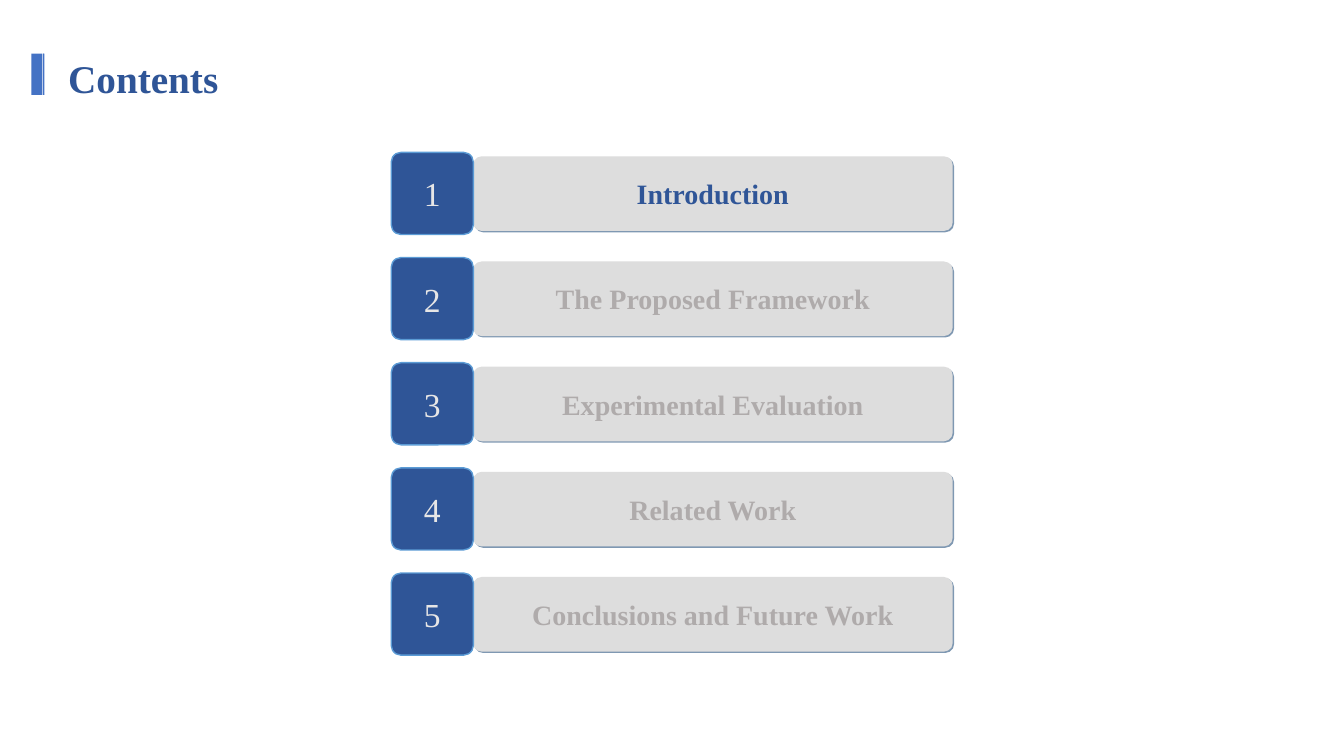
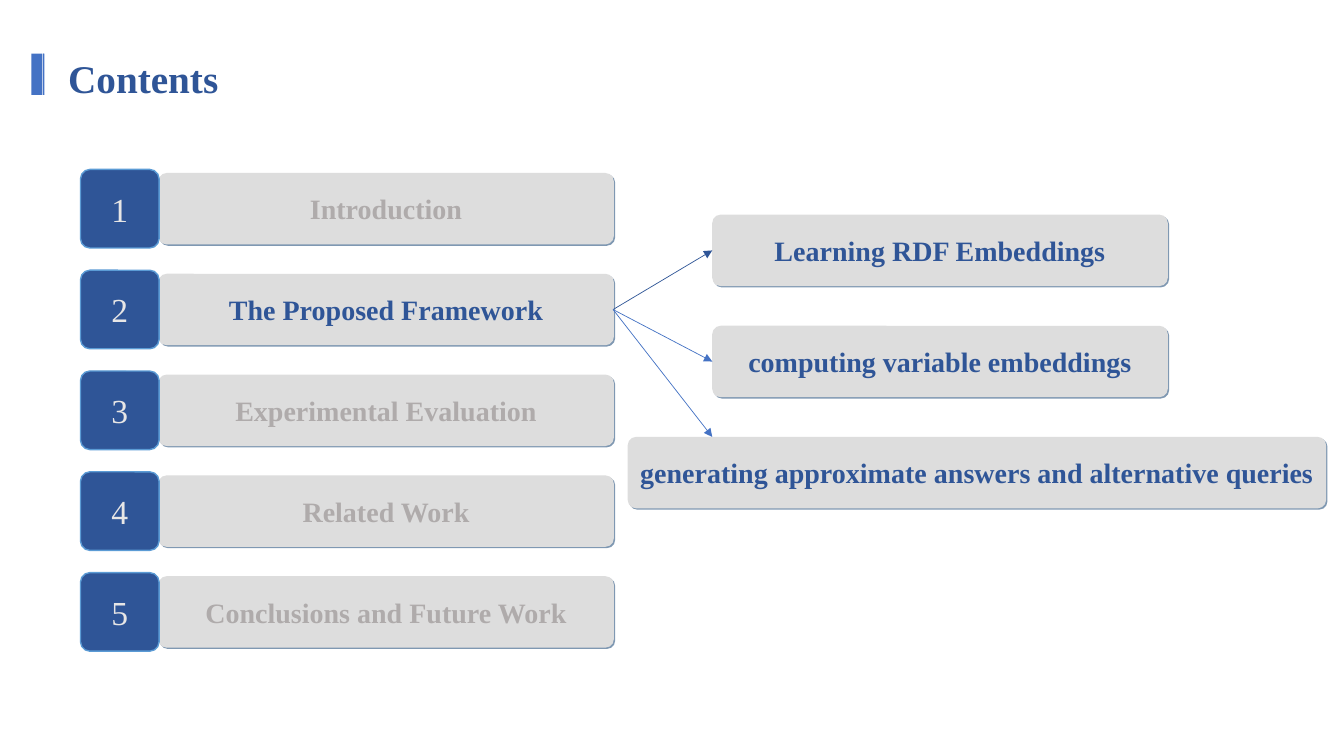
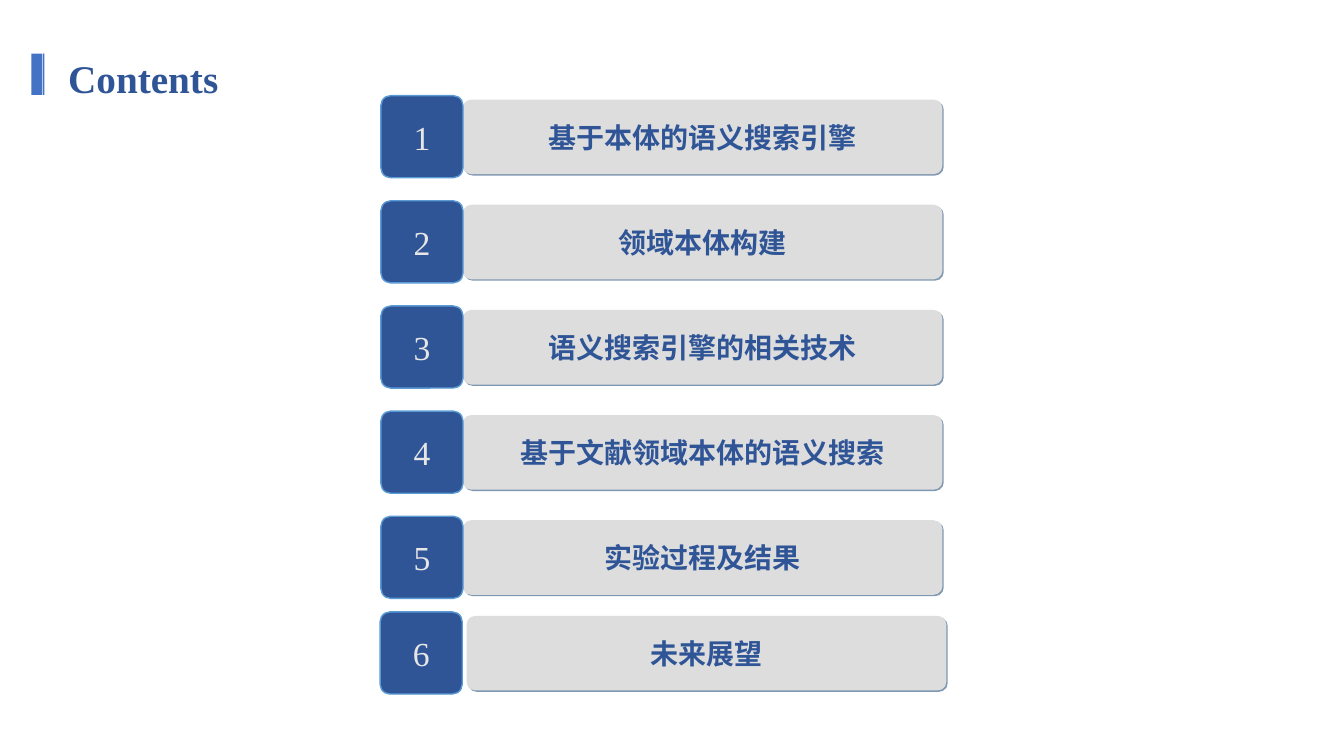
from lxml.etree import SubElement
from pptx import Presentation
from pptx.dml.color import RGBColor
from pptx.enum.shapes import MSO_CONNECTOR, MSO_SHAPE
from pptx.enum.text import MSO_ANCHOR, PP_ALIGN
from pptx.oxml.ns import qn
from pptx.util import Cm, Pt

FONT = "Times New Roman"
COLORS = {
    "navy": "2F5597",
    "blue": "4472C4",
    "edge": "5B9BD5",
    "panel": "DDDDDD",
    "muted": "AFABAB",
    "pale": "E7E6E6",
    "shade": "003366",
}
TOPICS = [
    "Introduction",
    "The Proposed Framework",
    "Experimental Evaluation",
    "Related Work",
    "Conclusions and Future Work",
]
THEMES = [
    "基于本体的语义搜索引擎",
    "领域本体构建",
    "语义搜索引擎的相关技术",
    "基于文献领域本体的语义搜索",
    "实验过程及结果",
]
STEPS = [
    "Learning RDF Embeddings",
    "computing variable embeddings",
    "generating approximate answers and alternative queries",
]
# Badge side, bar width, bar height, bar offset right and down, row pitch
LARGE = (2.07, 12.09, 1.88, 2.06, 0.1, 2.65)
SMALL = (1.98, 11.48, 1.8, 1.96, 0.09, 2.54)


def color(name):
    return RGBColor.from_string(COLORS[name])


def write(frame, text, size, ink, bold):
    run = frame.paragraphs[0].add_run()
    run.text = text
    font = run.font
    font.name, font.size, font.bold = FONT, Pt(size), bold
    font.color.rgb = color(ink)


def block(slide, left, top, width, height, fill, corner):
    """Add a rounded rectangle without outline or shadow."""
    shape = slide.shapes.add_shape(
        MSO_SHAPE.ROUNDED_RECTANGLE, Cm(left), Cm(top), Cm(width), Cm(height))
    shape.adjustments[0] = corner
    shape.shadow.inherit = False
    shape.fill.solid()
    shape.fill.fore_color.rgb = color(fill)
    shape.line.fill.background()
    return shape


def label(shape, text, size, ink, bold):
    """Centre one line of text in a shape."""
    frame = shape.text_frame
    frame.word_wrap = False
    frame.vertical_anchor = MSO_ANCHOR.MIDDLE
    frame.paragraphs[0].alignment = PP_ALIGN.CENTER
    write(frame, text, size, ink, bold)


def drop(shape):
    """Give a shape a hard shadow to the lower right."""
    effects = shape._element.spPr.find(qn("a:effectLst"))
    outer = SubElement(effects, qn("a:outerShdw"), blurRad="0",
                       dist=str(Pt(1.4)), dir="2700000", algn="ctr",
                       rotWithShape="0")
    tint = SubElement(outer, qn("a:srgbClr"), val=COLORS["shade"])
    SubElement(tint, qn("a:alpha"), val="50000")


def bar(slide, left, top, width, height, text, ink="navy"):
    shape = block(slide, left, top, width, height, "panel", 0.117)
    drop(shape)
    label(shape, text, 20, ink, True)


def badge(slide, left, top, side, number):
    shape = block(slide, left, top, side, side, "navy", 0.119)
    shape.line.color.rgb = color("edge")
    shape.line.width = Pt(1)
    label(shape, str(number), 24, "pale", False)


def row(slide, left, top, dims, number, text, ink, shift=0):
    side, width, height, right, down, _ = dims
    bar(slide, left + right + shift, top + down, width, height, text, ink)
    badge(slide, left, top, side, number)


def agenda(slide, left, top, dims, items, active):
    """Stack numbered rows; those not in active are greyed."""
    for i, text in enumerate(items):
        ink = "navy" if i in active else "muted"
        row(slide, left, top + i * dims[-1], dims, i + 1, text, ink)


def arrow(slide, start, end, ink):
    line = slide.shapes.add_connector(
        MSO_CONNECTOR.STRAIGHT, *[Cm(v) for v in start + end])
    line.line.color.rgb = color(ink)
    line.line.width = Pt(0.5)
    SubElement(line.line._get_or_add_ln(), qn("a:tailEnd"), type="triangle")
    SubElement(line._element.spPr, qn("a:effectLst"))


def page(deck):
    """Add a blank slide with the marker and the title."""
    slide = deck.slides.add_slide(deck.slide_layouts[6])
    for left, width in ((0.79, 0.28), (1.09, 0.03)):
        block(slide, left, 1.35, width, 1.04, "blue", 0.018)
    box = slide.shapes.add_textbox(Cm(1.47), Cm(1.24), Cm(22.91), Cm(1.17))
    box.text_frame.word_wrap = True
    write(box.text_frame, "Contents", 28, "navy", True)
    return slide


def intro(deck):
    agenda(page(deck), 9.86, 3.84, LARGE, TOPICS, {0})


def framework(deck):
    slide = page(deck)
    agenda(slide, 2.03, 4.27, SMALL, TOPICS, {1})
    width, height = SMALL[1:3]
    left, top, gap = 17.95, 5.41, 2.8
    spots = [(left, width), (left, width), (15.82, 17.6)]
    for i, (text, (x, span)) in enumerate(zip(STEPS, spots)):
        bar(slide, x, top + i * gap, span, height, text)
    start = (15.45, 7.8)
    mid = top + height / 2
    ends = [(mid, "navy"), (mid + gap, "blue"), (top + 2 * gap, "blue")]
    for y, ink in ends:
        arrow(slide, start, (left, y), ink)


def themes(deck):
    slide = page(deck)
    agenda(slide, 9.6, 2.41, LARGE, THEMES, range(len(THEMES)))
    row(slide, 9.58, 15.42, LARGE, 6, "未来展望", "navy", 0.12)


def main():
    deck = Presentation()
    deck.slide_width, deck.slide_height = Cm(33.87), Cm(19.05)
    intro(deck)
    framework(deck)
    themes(deck)
    deck.save("out.pptx")


if __name__ == "__main__":
    main()
